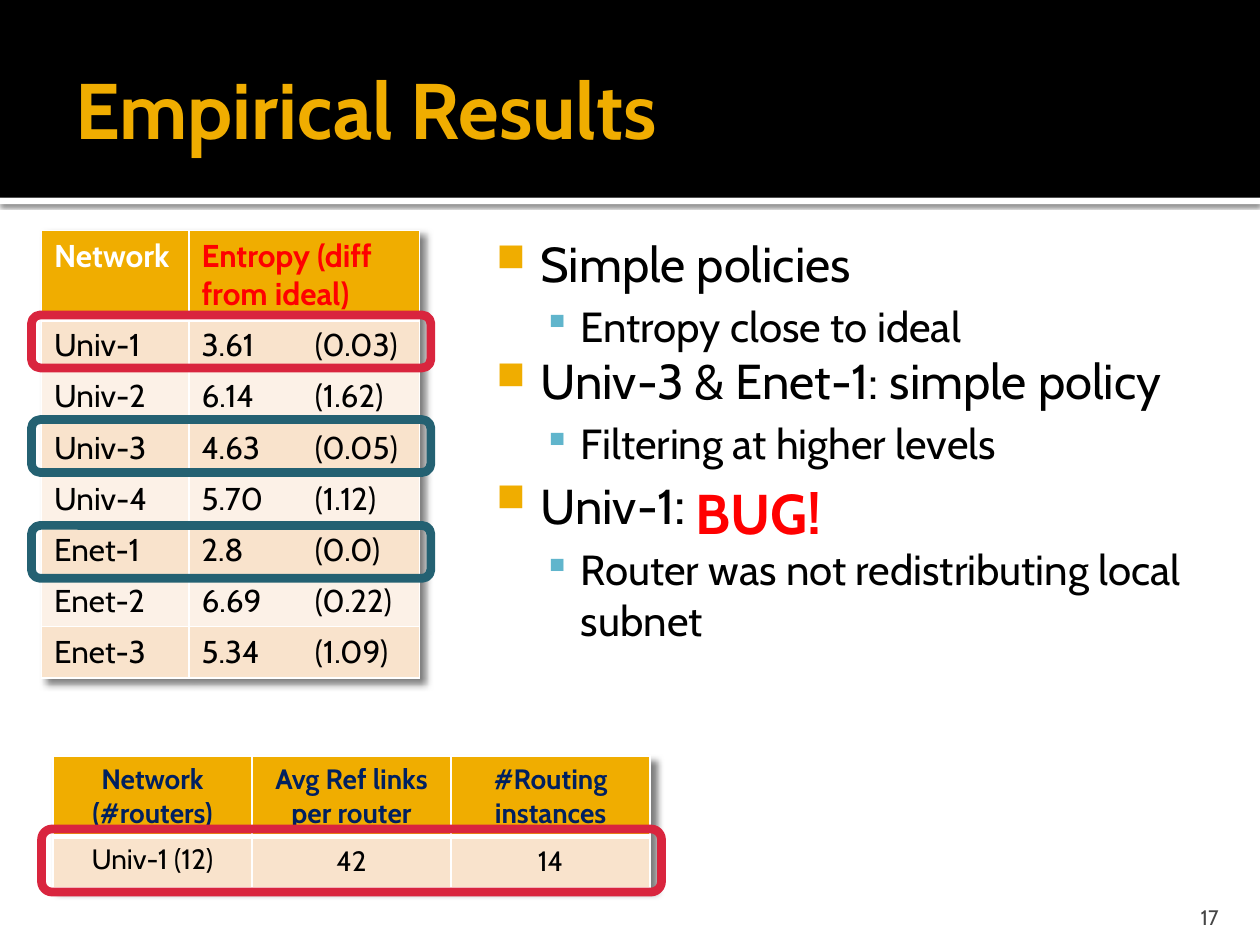
from lxml.etree import SubElement
from pptx import Presentation
from pptx.dml.color import RGBColor
from pptx.enum.shapes import MSO_SHAPE
from pptx.enum.text import MSO_ANCHOR, PP_ALIGN
from pptx.oxml import parse_xml
from pptx.oxml.ns import nsdecls, qn
from pptx.util import Inches, Pt

FONT = "Cabin"
GOLD, RED, BLACK, WHITE = "F0AD00", "FF0000", "000000", "FFFFFF"
BANDS = ["F9E3CC", "FCF1E7"]


def color(hex_value):
    return RGBColor.from_string(hex_value)


def add_run(paragraph, text, size, hex_value, bold=False):
    run = paragraph.add_run()
    run.text = text
    for name, value in {"name": FONT, "size": Pt(size), "bold": bold}.items():
        setattr(run.font, name, value)
    run.font.color.rgb = color(hex_value)


presentation = Presentation()
presentation.slide_width, presentation.slide_height = Inches(10), Inches(7.5)
slide = presentation.slides.add_slide(presentation.slide_layouts[6])
shadow_xml = (
    "<a:effectLst %s><a:outerShdw blurRad='%d' dist='%d' dir='%d' algn='tl' rotWithShape='0'>"
    "<a:srgbClr val='000000'><a:alpha val='%d'/></a:srgbClr></a:outerShdw></a:effectLst>"
)

# Header band with a shadowed white strip below it
for top, height, fill in [(1.57, 0.05, WHITE), (0, 1.57, BLACK)]:
    band = slide.shapes.add_shape(MSO_SHAPE.RECTANGLE, 0, Inches(top), Inches(10), Inches(height))
    band.fill.solid()
    band.fill.fore_color.rgb = color(fill)
    band.line.fill.background()
    if fill == WHITE:
        band.element.spPr.append(
            parse_xml(shadow_xml % (nsdecls("a"), Pt(2.5), Pt(0.8), 5400000, 60000)))
    else:
        band.shadow.inherit = False

# Tables
entropy_rows = [
    ["Network", "Entropy (diff from ideal)"],
    ["Univ-1", "3.61\t(0.03)"],
    ["Univ-2", "6.14\t(1.62)"],
    ["Univ-3", "4.63\t(0.05)"],
    ["Univ-4", "5.70\t(1.12)"],
    ["Enet-1", "2.8\t(0.0)"],
    ["Enet-2", "6.69\t(0.22)"],
    ["Enet-3", "5.34\t(1.09)"],
]
routing_rows = [
    ["Network (#routers)", "Avg Ref links per router", "#Routing instances"],
    ["Univ-1 (12)", "42", "14"],
]
tables = [
    (entropy_rows, 0.33, 1.83, [1.17, 1.83], 0.71, 18, [WHITE, RED], PP_ALIGN.LEFT),
    (routing_rows, 0.42, 6, [1.58] * 3, 0.63, 16, ["002060"] * 3, PP_ALIGN.CENTER),
]
for rows, left, top, widths, header_height, size, header_colors, alignment in tables:
    heights = [header_height] + [0.405] * (len(rows) - 1)
    table = slide.shapes.add_table(
        len(rows), len(widths), Inches(left), Inches(top),
        Inches(sum(widths)), Inches(sum(heights))).table
    table._tbl.tblPr.insert(
        0, parse_xml(shadow_xml % (nsdecls("a"), Pt(4), Pt(4), 2700000, 50000)))
    for column, width in zip(table.columns, widths):
        column.width = Inches(width)
    for row_index, values in enumerate(rows):
        table.rows[row_index].height = Inches(heights[row_index])
        is_header = row_index == 0
        for column_index, value in enumerate(values):
            cell = table.cell(row_index, column_index)
            properties = cell._tc.get_or_add_tcPr()
            for side in "LRTB":
                thick = (row_index, side) in [(0, "B"), (1, "T")]
                properties.append(parse_xml(
                    "<a:ln%s %s w='%d'><a:solidFill><a:srgbClr val='%s'/></a:solidFill></a:ln%s>"
                    % (side, nsdecls("a"), Pt(3 if thick else 1), WHITE, side)))
            cell.fill.solid()
            cell.fill.fore_color.rgb = color(GOLD if is_header else BANDS[(row_index - 1) % 2])
            if alignment == PP_ALIGN.CENTER and not is_header and column_index > 0:
                cell.vertical_anchor = MSO_ANCHOR.MIDDLE
            paragraph = cell.text_frame.paragraphs[0]
            paragraph.alignment = alignment
            add_run(paragraph, value, size,
                    header_colors[column_index] if is_header else BLACK, is_header)
            if "\t" in value:
                tab_list = SubElement(paragraph._p.get_or_add_pPr(), qn("a:tabLst"))
                SubElement(tab_list, qn("a:tab"), pos=str(Inches(0.9)), algn="l")

# Text boxes: position, insets, anchor, wrap, alignment, text format
labels = [
    ("Empirical Results", (0.5, 0.17, 9, 1.37), (0.1, 0.05, 0.05, 0.05),
     MSO_ANCHOR.MIDDLE, True, PP_ALIGN.LEFT, (45, GOLD, True)),
    ("17", (8.97, 7.08, 0.8, 0.3), (0.1, 0.05, 0.1, 0),
     MSO_ANCHOR.BOTTOM, True, PP_ALIGN.RIGHT, (12, "454545", False)),
    ("BUG!", (5.42, 3.75, 1.23, 0.64), (0.1, 0.05, 0.1, 0.05),
     MSO_ANCHOR.TOP, False, PP_ALIGN.LEFT, (32, RED, True)),
    (None, (3.75, 1.75, 6.25, 4.75), (0.06, 0.1, 0.1, 0.05),
     MSO_ANCHOR.TOP, True, PP_ALIGN.LEFT, None),
]
for text, position, insets, anchor, wrap, alignment, text_format in labels:
    frame = slide.shapes.add_textbox(*map(Inches, position)).text_frame
    frame.word_wrap = wrap
    frame.vertical_anchor = anchor
    for side, inset in zip(["left", "top", "right", "bottom"], insets):
        setattr(frame, "margin_" + side, Inches(inset))
    frame.paragraphs[0].alignment = alignment
    if text:
        add_run(frame.paragraphs[0], text, *text_format)

# Bullets, in the last text box
levels = [
    {"size": 28, "margin": 0.48, "indent": -0.35, "before": 0,
     "bullet": "■", "bullet_color": GOLD, "bullet_size": 80000},
    {"size": 24, "margin": 0.8, "indent": -0.3, "before": 4.8,
     "bullet": "▪", "bullet_color": "60B5CC", "bullet_size": 90000},
]
bullets = [
    (0, "Simple policies"),
    (1, "Entropy close to ideal"),
    (0, "Univ-3 & Enet-1: simple policy"),
    (1, "Filtering at higher levels"),
    (0, "Univ-1"),
    (1, "Router was not redistributing local subnet"),
]
for index, (level, text) in enumerate(bullets):
    style = levels[level]
    paragraph = frame.add_paragraph() if index else frame.paragraphs[0]
    paragraph.level = level
    paragraph.space_before = Pt(style["before"])
    properties = paragraph._p.get_or_add_pPr()
    properties.set("marL", str(Inches(style["margin"])))
    properties.set("indent", str(Inches(style["indent"])))
    bullet_color = SubElement(properties, qn("a:buClr"))
    SubElement(bullet_color, qn("a:srgbClr"), val=style["bullet_color"])
    SubElement(properties, qn("a:buSzPct"), val=str(style["bullet_size"]))
    SubElement(properties, qn("a:buChar"), char=style["bullet"])
    add_run(paragraph, text, style["size"], BLACK)
    if text == "Univ-1":
        add_run(paragraph, ":", 32, BLACK)

# Highlight frames around table rows
frames = [
    (0.25, 4.17, 3.17, 0.42, "246172"),
    (0.25, 3.33, 3.17, 0.42, "246172"),
    (0.25, 2.5, 3.17, 0.42, "D9253E"),
    (0.33, 6.58, 4.92, 0.5, "D9253E"),
]
for *position, line_color in frames:
    highlight = slide.shapes.add_shape(MSO_SHAPE.ROUNDED_RECTANGLE, *map(Inches, position))
    highlight.shadow.inherit = False
    highlight.fill.background()
    highlight.line.color.rgb = color(line_color)
    highlight.line.width = Pt(5)

presentation.save("out.pptx")
